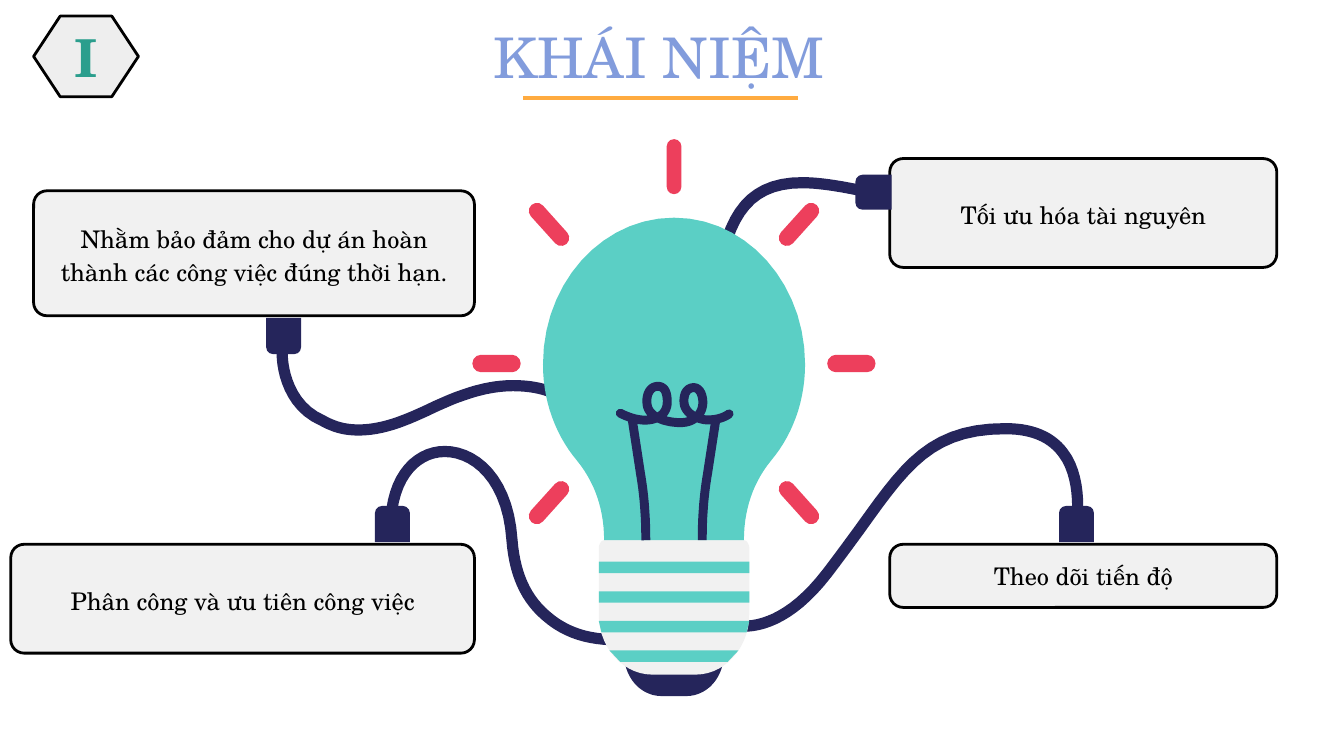
import pptx
import pptx.util
import pptx.dml.color
import pptx.oxml
import pptx.oxml.ns
from pptx.enum.shapes import MSO_CONNECTOR, MSO_SHAPE
from pptx.enum.text import MSO_ANCHOR, PP_ALIGN

COLUMNS = 10  # one grid cell is one inch
ROWS = COLUMNS * 9 / 16
FONT = "TeX Gyre Schola"
NAVY, TEAL, PALE, RED, BLACK = "25255B", "5BCFC5", "F1F1F1", "ED3F5C", "000000"
inches = pptx.util.Inches


def color(value):
    return pptx.dml.color.RGBColor.from_string(value)


def paint(shape, fill=None, line=None, width=1.5):
    shape.shadow.inherit = False
    if fill:
        shape.fill.solid()
        shape.fill.fore_color.rgb = color(fill)
    else:
        shape.fill.background()
    if line:
        shape.line.color.rgb = color(line)
        shape.line.width = pptx.util.Pt(width)
    else:
        shape.line.fill.background()


def write_text(shape, text, size=13, fill=BLACK, bold=False, spacing=None):
    frame = shape.text_frame
    frame.word_wrap = True
    frame.vertical_anchor = MSO_ANCHOR.MIDDLE
    frame.margin_left = frame.margin_right = inches(0.1)
    frame.margin_top = frame.margin_bottom = inches(0.1)
    paragraph = frame.paragraphs[0]
    paragraph.alignment = PP_ALIGN.CENTER
    if spacing:
        paragraph.line_spacing = spacing
    run = paragraph.add_run()
    run.text = text
    run.font.name, run.font.size, run.font.bold = FONT, pptx.util.Pt(size), bold
    run.font.color.rgb = color(fill)


def add_preset(slide, kind, box, fill, line=None, adjustment=None, rotation=0):
    shape = slide.shapes.add_shape(kind, *map(inches, box))
    paint(shape, fill, line)
    if adjustment is not None:
        shape.adjustments[0] = adjustment
    shape.rotation = rotation
    return shape


def trace(start, *segments, steps=14):
    """Points along segments: pairs are straight ends, sixes are cubic curves."""
    points = [start]
    for segment in segments:
        if len(segment) == 2:
            points.append(segment)
            continue
        corners = [points[-1], segment[:2], segment[2:4], segment[4:]]
        for step in range(1, steps + 1):
            t = step / steps
            weights = ((1 - t) ** 3, 3 * t * (1 - t) ** 2, 3 * t * t * (1 - t), t ** 3)
            points.append(tuple(
                sum(weight * corner[axis] for weight, corner in zip(weights, corners))
                for axis in (0, 1)))
    return points


def mirror(points):
    return [(-x, y) for x, y in points]


def add_outline(slide, points, fill=None, line=None, width=1.5, cap="rnd"):
    """A filled closed outline, or an open stroke when there is no fill."""
    points = [(inches(x), inches(y)) for x, y in points]
    builder = slide.shapes.build_freeform(*points[0], scale=1.0)
    builder.add_line_segments(points[1:], close=bool(fill))
    shape = builder.convert_to_shape()
    paint(shape, fill, line, width)
    if line:
        shape.element.spPr.find(pptx.oxml.ns.qn("a:ln")).set("cap", cap)


def add_title(slide, box):
    left, top, width, height = box
    title = slide.shapes.add_textbox(*map(inches, box))
    write_text(title, "KHÁI NIỆM", size=30, fill="829CDC")
    middle, y, half = left + width / 2 + 0.01, top + height + 0.09, 1.02
    rule = slide.shapes.add_connector(
        MSO_CONNECTOR.STRAIGHT, *map(inches, (middle - half, y, middle + half, y)))
    rule.line.color.rgb = color("FFAB40")
    rule.line.width = pptx.util.Pt(2.25)
    rule.element.spPr.append(pptx.oxml.parse_xml(
        f'<a:effectLst {pptx.oxml.ns.nsdecls("a")}/>'))


def add_badge(slide, box):
    left, top, width, height = box
    add_preset(slide, MSO_SHAPE.HEXAGON, box, "EEEEEE", BLACK, adjustment=0.33)
    label = slide.shapes.add_textbox(
        *map(inches, (left + 0.12, top - 0.05, width - 0.24, height + 0.1)))
    write_text(label, "I", size=28, fill="2B9E8D", bold=True)


def add_card(slide, box, text, spacing):
    card = add_preset(slide, MSO_SHAPE.ROUNDED_RECTANGLE, box, PALE, BLACK,
                      adjustment=0.1 / box[3])
    write_text(card, text, spacing=spacing)


def add_plug(slide, center, rotation):
    x, y = center
    width, height = 0.26, 0.27
    add_preset(slide, MSO_SHAPE.ROUND_2_SAME_RECTANGLE,
               (x - width / 2, y - height / 2, width, height),
               NAVY, adjustment=0.2, rotation=rotation)


def add_bulb(slide, box):
    """Drawn on a 195 by 356 grid whose x runs from the middle axis."""
    left, top, width, height = box

    def place(points):
        return [(left + width * (0.5 + x / 195), top + height * y / 356) for x, y in points]

    def add_symmetric(fill, *half):
        right = trace(*half)
        add_outline(slide, place(right + mirror(right)[::-1]), fill)

    add_symmetric(NAVY, (0, 270), (30, 270), (35, 270, 37, 274, 37, 279),
                  (37, 325), (37, 342, 25, 356, 9, 356))
    add_symmetric(PALE, (0, 240), (52, 240), (54, 240, 56, 243, 56, 246),
                  (56, 295), (56, 320, 38, 340, 16, 340))
    add_symmetric(TEAL, (0, 0), (54, 0, 97.5, 49, 97.5, 109), (97.5, 137, 88, 162, 72, 181),
                  (59, 197, 52, 217, 52, 240))
    for row, (upper, lower) in enumerate([(56, 56), (56, 56), (56, 54), (48, 40)]):
        y = 256 + 22 * row
        add_symmetric(TEAL, (0, y), (upper, y), (lower, y + 8.5))

    post = trace((31.5, 147.5), (25, 190), (22, 207, 21, 224, 21, 240))
    coil = trace((-40, 145.5), (-33, 149, -24, 152, -16, 150),
                 (-8, 148, -5, 143, -5, 137), (-5, 130, -7, 125.5, -12, 125.5),
                 (-18, 125.5, -21, 132, -20, 139), (-19, 148, -7, 152.5, 5, 152.5),
                 (14, 152.5, 21, 147, 21.5, 138), (21.5, 130, 18, 126, 14, 126.5),
                 (9, 127, 7, 132, 7.5, 138), (8.5, 147, 20, 150.5, 25, 150.5),
                 (31, 150.5, 37, 149, 41, 146))
    for stroke, cap in ((mirror(post), "flat"), (post, "flat"), (coil, "rnd")):
        add_outline(slide, place(stroke), line=NAVY, width=4.8, cap=cap)

    rays = [(0, -38, 41, 11, 90)]
    for side in (-1, 1):
        rays.append((side * 132, 108.5, 36, 13, 0))
        rays += [(side * 93, 108.5 + end * 103.5, 39, 12, 48 * side * end) for end in (-1, 1)]
    for x, y, length, thickness, angle in rays:
        [(center_x, center_y)] = place([(x, y)])
        ray_width, ray_height = length * width / 195, thickness * height / 356
        add_preset(slide, MSO_SHAPE.ROUNDED_RECTANGLE,
                   (center_x - ray_width / 2, center_y - ray_height / 2, ray_width, ray_height),
                   RED, adjustment=0.5, rotation=angle)


def main():
    presentation = pptx.Presentation()
    presentation.slide_width, presentation.slide_height = inches(COLUMNS), inches(ROWS)
    slide = presentation.slides.add_slide(presentation.slide_layouts[6])
    add_title(slide, (3.35, 0.2, 3.11, 0.44))
    cards = [
        ((0.08, 4.05, 3.45, 0.81), "Phân công và ưu tiên công việc", 1.15),
        ((0.25, 1.42, 3.28, 0.93),
         "Nhằm bảo đảm cho dự án hoàn thành các công việc đúng thời hạn.", 1.15),
        ((6.62, 1.18, 2.88, 0.81), "Tối ưu hóa tài nguyên", 1.15),
        ((6.62, 4.05, 2.88, 0.47), "Theo dõi tiến độ", None),
    ]
    for card in cards:
        add_card(slide, *card)
    wires = [
        [(2.91, 3.86), (2.93, 3.53, 3.11, 3.36, 3.31, 3.36), (3.53, 3.36, 3.78, 3.56, 3.81, 4.02),
         (3.83, 4.27, 3.91, 4.45, 4.06, 4.58), (4.24, 4.74, 4.45, 4.77, 4.68, 4.76)],
        [(5.22, 4.55), (5.28, 4.6, 5.38, 4.66, 5.53, 4.66), (5.69, 4.66, 5.91, 4.58, 6.15, 4.27),
         (6.25, 4.14, 6.33, 4.03, 6.41, 3.92), (6.74, 3.46, 6.93, 3.19, 7.48, 3.19),
         (7.68, 3.19, 7.82, 3.25, 7.91, 3.37), (8.06, 3.57, 8.01, 3.88, 8.01, 3.9)],
        [(5.35, 2.02), (5.43, 1.59, 5.58, 1.36, 5.97, 1.36), (6.1, 1.36, 6.28, 1.39, 6.46, 1.43)],
        [(2.1, 2.63), (2.1, 2.65, 2.1, 3, 2.4, 3.13), (2.49, 3.18, 2.57, 3.2, 2.67, 3.2),
         (2.87, 3.2, 3.06, 3.11, 3.25, 3.02), (3.32, 2.99, 3.36, 2.97, 3.42, 2.95),
         (3.58, 2.89, 3.71, 2.87, 3.82, 2.87), (4.04, 2.87, 4.15, 2.94, 4.17, 2.95)],
    ]
    for wire in wires:
        add_outline(slide, trace(*wire), line=NAVY, width=6)
    add_bulb(slide, (4.04, 1.62, 1.95, 3.56))
    plugs = [((2.11, 2.5), 180), ((6.5, 1.43), 270), ((8.01, 3.9), 0), ((2.92, 3.9), 0)]
    for plug in plugs:
        add_plug(slide, *plug)
    add_badge(slide, (0.25, 0.12, 0.78, 0.6))
    presentation.save("out.pptx")


if __name__ == "__main__":
    main()
